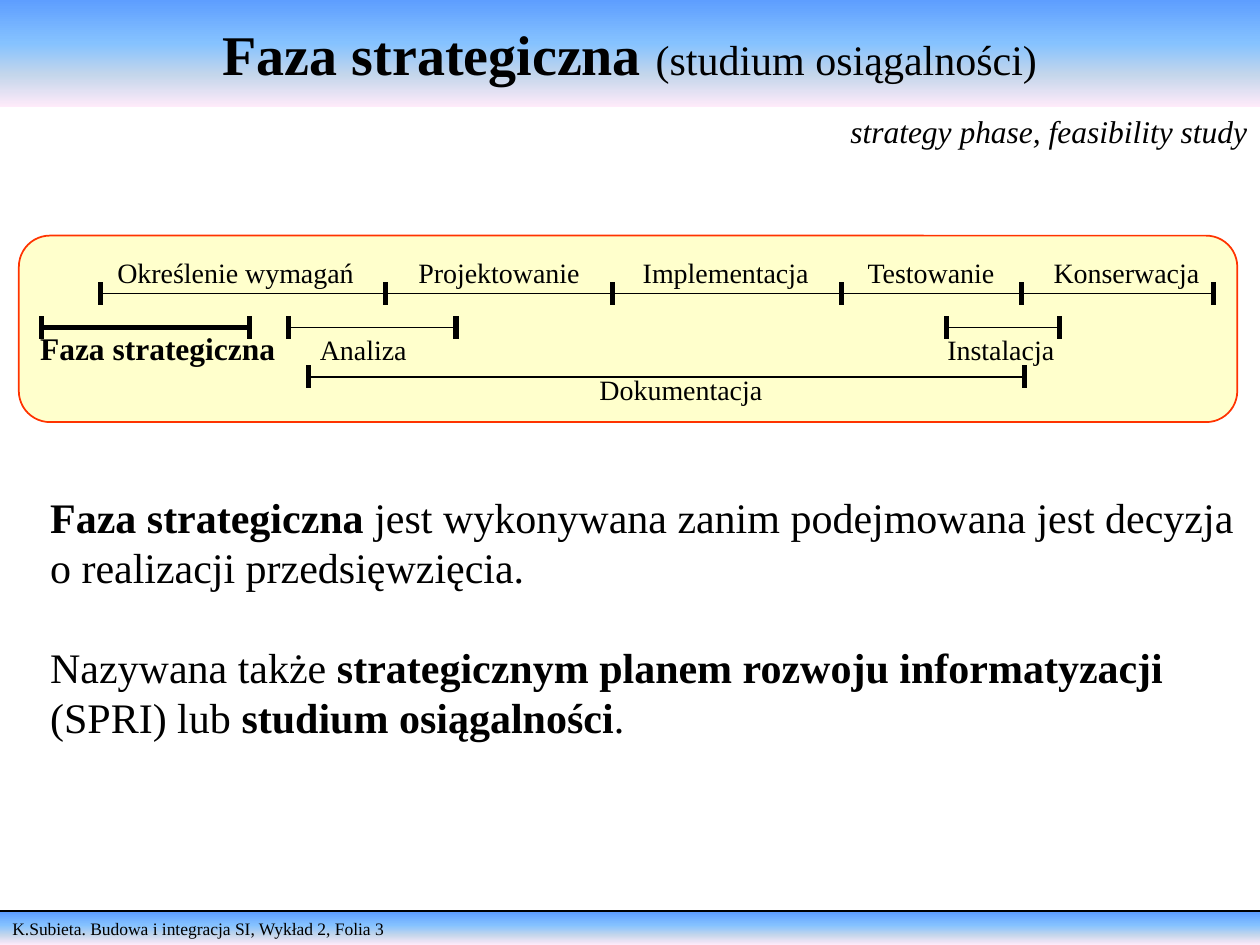
from dataclasses import dataclass

from lxml import etree
from pptx import Presentation
from pptx.dml.color import RGBColor
from pptx.enum.shapes import MSO_CONNECTOR, MSO_SHAPE
from pptx.enum.text import MSO_ANCHOR, PP_ALIGN
from pptx.oxml.ns import qn
from pptx.util import Inches, Pt

RECT, ROUNDED = MSO_SHAPE.RECTANGLE, MSO_SHAPE.ROUNDED_RECTANGLE
STRAIGHT = MSO_CONNECTOR.STRAIGHT
MIDDLE, TOP = MSO_ANCHOR.MIDDLE, MSO_ANCHOR.TOP
LEFT, CENTER = PP_ALIGN.LEFT, PP_ALIGN.CENTER


@dataclass(frozen=True)
class Theme:
    font: str = "Times New Roman"
    ink: str = "000000"
    panel: str = "FFFFCC"
    panel_edge: str = "FF3300"
    band: tuple = ((0, "5E9EFF"), (40, "85C2FF"), (70, "C4D6EB"), (100, "FFEBFA"))
    title: int = 32
    body: int = 24
    emphasis: int = 18
    label: int = 16
    footer: int = 10
    thin: int = 1
    thick: int = 3


class SlideBuilder:
    def __init__(self, slide, theme):
        self.s = slide
        self.theme = theme

    def fill_text(self, sp, paragraphs, size, align=LEFT, anchor=TOP, wrap=True, gap=0):
        tf = sp.text_frame
        tf.word_wrap = wrap
        tf.vertical_anchor = anchor
        for i, runs in enumerate(paragraphs):
            p = tf.add_paragraph() if i else tf.paragraphs[0]
            p.alignment = align
            p.space_before = Pt(gap if i else 0)
            for text, style in runs:
                r = p.add_run()
                r.text = text
                r.font.name = self.theme.font
                r.font.size = Pt(style.get("size", size))
                r.font.bold = style.get("bold", False)
                r.font.italic = style.get("italic", False)
                r.font.color.rgb = RGBColor.from_string(self.theme.ink)

    def text(self, x, y, w, h, paragraphs, size, **layout):
        sp = self.s.shapes.add_textbox(Inches(x), Inches(y), Inches(w), Inches(h))
        self.fill_text(sp, paragraphs, size, **layout)

    def label(self, x, y, w, text, size=None, align=LEFT, **style):
        self.text(x, y, w, 0.37, [[(text, style)]], size or self.theme.label,
                  align=align, wrap=False)

    def band(self, y, h, runs, size, **layout):
        sp = self.s.shapes.add_shape(RECT, 0, Inches(y), Inches(10), Inches(h))
        sp.shadow.inherit = False
        sp.line.fill.background()
        sp.fill.gradient()
        grad = sp._element.spPr.find(qn("a:gradFill"))
        stops = grad.find(qn("a:gsLst"))
        for stop in list(stops):
            stops.remove(stop)
        for position, color in self.theme.band:
            stop = etree.SubElement(stops, qn("a:gs"), pos=str(position * 1000))
            etree.SubElement(stop, qn("a:srgbClr"), val=color)
        sp.fill.gradient_angle = 270
        self.fill_text(sp, [runs], size, **layout)

    def panel(self, x, y, w, h):
        sp = self.s.shapes.add_shape(ROUNDED, Inches(x), Inches(y), Inches(w), Inches(h))
        sp.shadow.inherit = False
        sp.adjustments[0] = 0.167
        sp.fill.solid()
        sp.fill.fore_color.rgb = RGBColor.from_string(self.theme.panel)
        sp.line.color.rgb = RGBColor.from_string(self.theme.panel_edge)
        sp.line.width = Pt(self.theme.thin)

    def line(self, x1, y1, x2, y2, weight):
        c = self.s.shapes.add_connector(STRAIGHT, Inches(x1), Inches(y1),
                                        Inches(x2), Inches(y2))
        c.line.color.rgb = RGBColor.from_string(self.theme.ink)
        c.line.width = Pt(weight)
        etree.SubElement(c._element.spPr, qn("a:effectLst"))

    def timeline(self, y, ticks, weight):
        self.line(ticks[0], y, ticks[-1], y, weight)
        for x in ticks:
            self.line(x, y - 0.09, x, y + 0.09, self.theme.thick)


def main():
    prs = Presentation()
    prs.slide_width, prs.slide_height = Inches(10), Inches(7.5)
    theme = Theme()
    b = SlideBuilder(prs.slides.add_slide(prs.slide_layouts[6]), theme)
    bold = {"bold": True}

    b.band(7.24, 0.26, [("K.Subieta. Budowa i integracja SI, Wykład 2, Folia 3", {})],
           theme.footer)
    b.line(0, 7.23, 10, 7.23, theme.thin)
    b.band(0, 0.85, [("Faza strategiczna ", bold),
                     ("(studium osiągalności)", {"size": theme.body})],
           theme.title, align=CENTER, anchor=MIDDLE)
    b.label(6.65, 0.84, 3.35, "strategy phase, feasibility study", theme.emphasis,
            italic=True)

    b.panel(0.15, 1.87, 9.67, 1.48)
    phases = [(0.81, 2.12, "Określenie wymagań"), (3.2, 1.52, "Projektowanie"),
              (4.98, 1.56, "Implementacja"), (6.76, 1.26, "Testowanie"),
              (8.24, 1.4, "Konserwacja")]
    for x, w, name in phases:
        b.label(x, 1.98, w, name, align=CENTER)

    timelines = [(2.33, (0.8, 3.06, 4.86, 6.68, 8.11, 9.63), theme.thin),
                 (2.6, (0.33, 1.98), theme.thick),
                 (2.6, (2.29, 3.62), theme.thin),
                 (2.6, (7.51, 8.41), theme.thin),
                 (2.99, (2.45, 8.13), theme.thin)]
    for y, ticks, weight in timelines:
        b.timeline(y, ticks, weight)

    b.label(0.22, 2.56, 2.07, "Faza strategiczna", theme.emphasis, bold=True)
    b.label(2.44, 2.59, 0.89, "Analiza")
    b.label(7.42, 2.59, 1.06, "Instalacja")
    b.label(4.66, 2.91, 1.5, "Dokumentacja")

    b.text(0.3, 3.85, 9.7, 2.1, [
        [("Faza strategiczna", bold),
         (" jest wykonywana zanim podejmowana jest decyzja o realizacji "
          "przedsięwzięcia.", {})],
        [("Nazywana także ", {}),
         ("strategicznym planem rozwoju informatyzacji", bold),
         (" (SPRI) lub ", {}), ("studium osiągalności", bold), (".", {})],
    ], theme.body, gap=28)

    prs.save("out.pptx")


if __name__ == "__main__":
    main()
